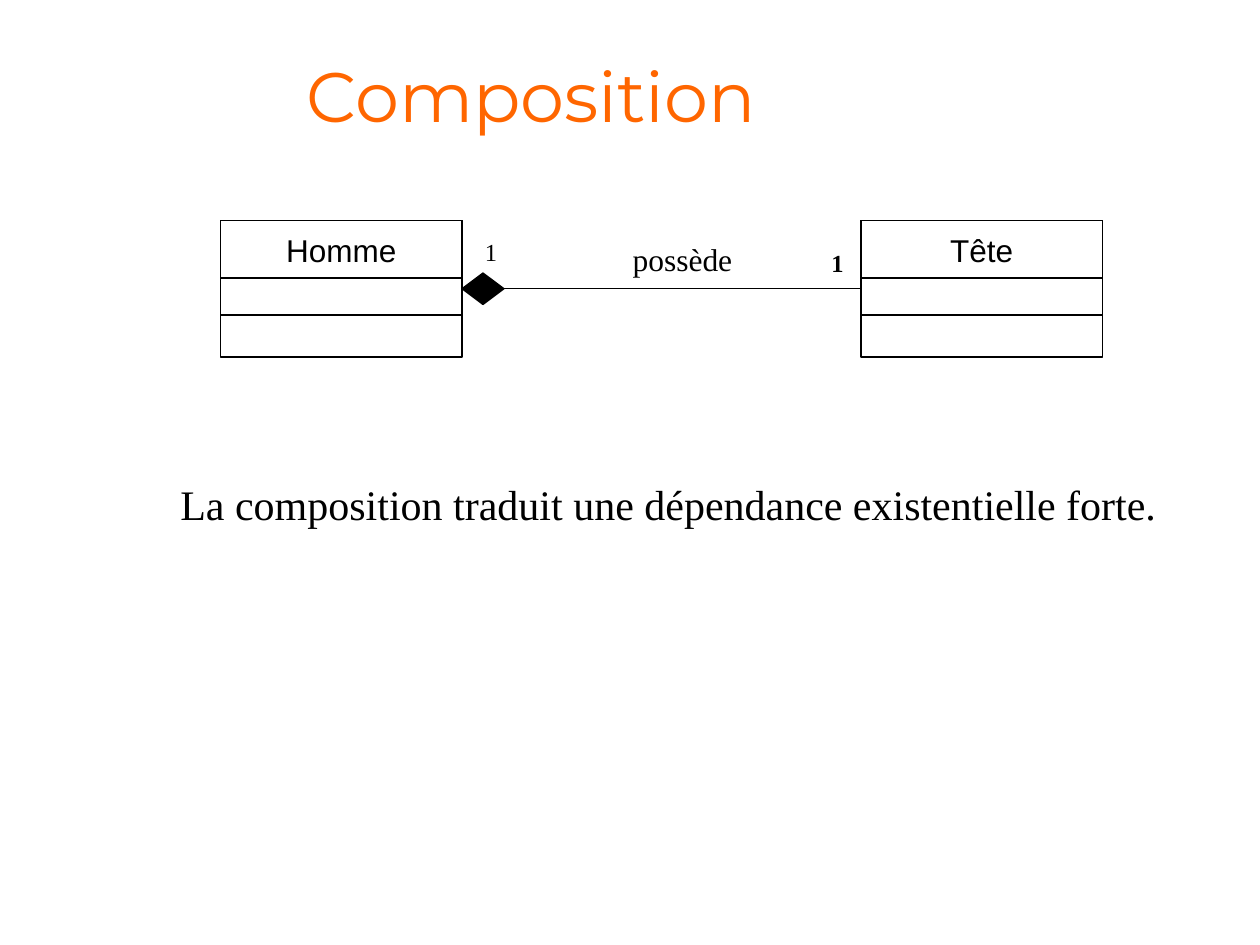
from lxml import etree
from pptx import Presentation
from pptx.dml.color import RGBColor
from pptx.enum.shapes import MSO_CONNECTOR, MSO_SHAPE
from pptx.enum.text import MSO_ANCHOR, MSO_AUTO_SIZE, PP_ALIGN
from pptx.oxml.ns import qn
from pptx.util import Inches, Pt

BLACK = RGBColor(0x00, 0x00, 0x00)
ORANGE = RGBColor(0xFF, 0x66, 0x00)
TOP, MIDDLE, BOTTOM = MSO_ANCHOR.TOP, MSO_ANCHOR.MIDDLE, MSO_ANCHOR.BOTTOM
LEFT, CENTER = PP_ALIGN.LEFT, PP_ALIGN.CENTER
NO_AUTOFIT = MSO_AUTO_SIZE.NONE
RECTANGLE, DIAMOND = MSO_SHAPE.RECTANGLE, MSO_SHAPE.DIAMOND
STRAIGHT = MSO_CONNECTOR.STRAIGHT

COLUMNS, ROWS = 120, 90
HEADER_ROWS, DIVIDER_ROW = 5.5, 9
TITLE_FONT = {"name": "Montserrat", "size": Pt(40)}
CLASS_FONT = {"name": "Arial", "size": Pt(18)}
ROLE_FONT = {"name": "Times New Roman", "size": Pt(18)}
COUNT_FONT = {"name": "Times New Roman", "size": Pt(14)}
BOLD_COUNT_FONT = {**COUNT_FONT, "bold": True}
NOTE_FONT = {"name": "Times New Roman", "size": Pt(24)}


def grid(*cells):
    """Turn grid cells into lengths on the slide."""
    return [Inches(cell * 10 / COLUMNS) for cell in cells]


def write(shape, text, font, color=BLACK, align=LEFT, anchor=TOP,
          margins=(0.1, 0.05), wrap=True):
    """Put one formatted paragraph into a shape."""
    side, end = (Inches(margin) for margin in margins)
    frame = shape.text_frame
    layout = {"auto_size": NO_AUTOFIT, "word_wrap": wrap, "vertical_anchor": anchor,
              "margin_left": side, "margin_right": side,
              "margin_top": end, "margin_bottom": end}
    for name, value in layout.items():
        setattr(frame, name, value)
    para = frame.paragraphs[0]
    para.alignment = align
    span = para.add_run()
    span.text = text
    for name, value in font.items():
        setattr(span.font, name, value)
    span.font.color.rgb = color


def add_outline(page, kind, box, fill=None):
    """Draw a black outlined shape, hollow unless a fill is given."""
    shape = page.shapes.add_shape(kind, *grid(*box))
    shape.shadow.inherit = False
    if fill is None:
        shape.fill.background()
    else:
        shape.fill.solid()
        shape.fill.fore_color.rgb = fill
    shape.line.color.rgb = BLACK
    shape.line.width = Pt(0.75)
    return shape


def add_line(page, left, right, row):
    """Draw a thin horizontal line between two columns."""
    line = page.shapes.add_connector(STRAIGHT, *grid(left, row, right, row))
    line.line.color.rgb = BLACK
    line.line.width = Pt(0.75)
    etree.SubElement(line._element.spPr, qn("a:effectLst"))


def add_label(page, box, text, font, **layout):
    """Place a text box on the grid."""
    write(page.shapes.add_textbox(*grid(*box)), text, font, **layout)


def add_title(page, box, text):
    """Move and fill the title placeholder."""
    title = page.shapes.title
    title.left, title.top, title.width, title.height = grid(*box)
    write(title, text, TITLE_FONT, ORANGE, anchor=BOTTOM, margins=(0.1, 0))


def add_class(page, box, name):
    """Draw a class with its name and two empty compartments."""
    left, top, width, _ = box
    header = add_outline(page, RECTANGLE, (left, top, width, HEADER_ROWS))
    write(header, name, CLASS_FONT, align=CENTER, margins=(0, 0.08))
    add_outline(page, RECTANGLE, box)
    add_line(page, left, left + width, top + DIVIDER_ROW)


def add_composition(page, box):
    """Join the whole to its part, with role and multiplicities."""
    left, top, width, height = box
    right = left + width
    add_line(page, left, right, top + height / 2)
    add_outline(page, DIAMOND, (left, top, 4, height), BLACK)
    add_label(page, (left + 1, top - 4, 3.6, 4.1), "1", COUNT_FONT, wrap=False)
    add_label(page, (right - 4, top - 3, 3.6, 4.1), "1", BOLD_COUNT_FONT)
    add_label(page, (left + 11.3, top - 3.7, 19.4, 4.8), "possède", ROLE_FONT,
              align=CENTER, anchor=MIDDLE)


def main():
    """Build the composition slide."""
    deck = Presentation()
    deck.slide_width, deck.slide_height = grid(COLUMNS, ROWS)
    page = deck.slides.add_slide(deck.slide_layouts[5])
    add_title(page, (28, 7, 54, 6), "Composition")
    for left, name in ((82, "Tête"), (21, "Homme")):
        add_class(page, (left, 21, 23, 13), name)
    add_composition(page, (44, 26, 38, 3))
    add_label(page, (16, 45, 95.3, 6),
              "La composition traduit une dépendance existentielle forte.",
              NOTE_FONT, wrap=False)
    deck.save("out.pptx")


if __name__ == "__main__":
    main()
